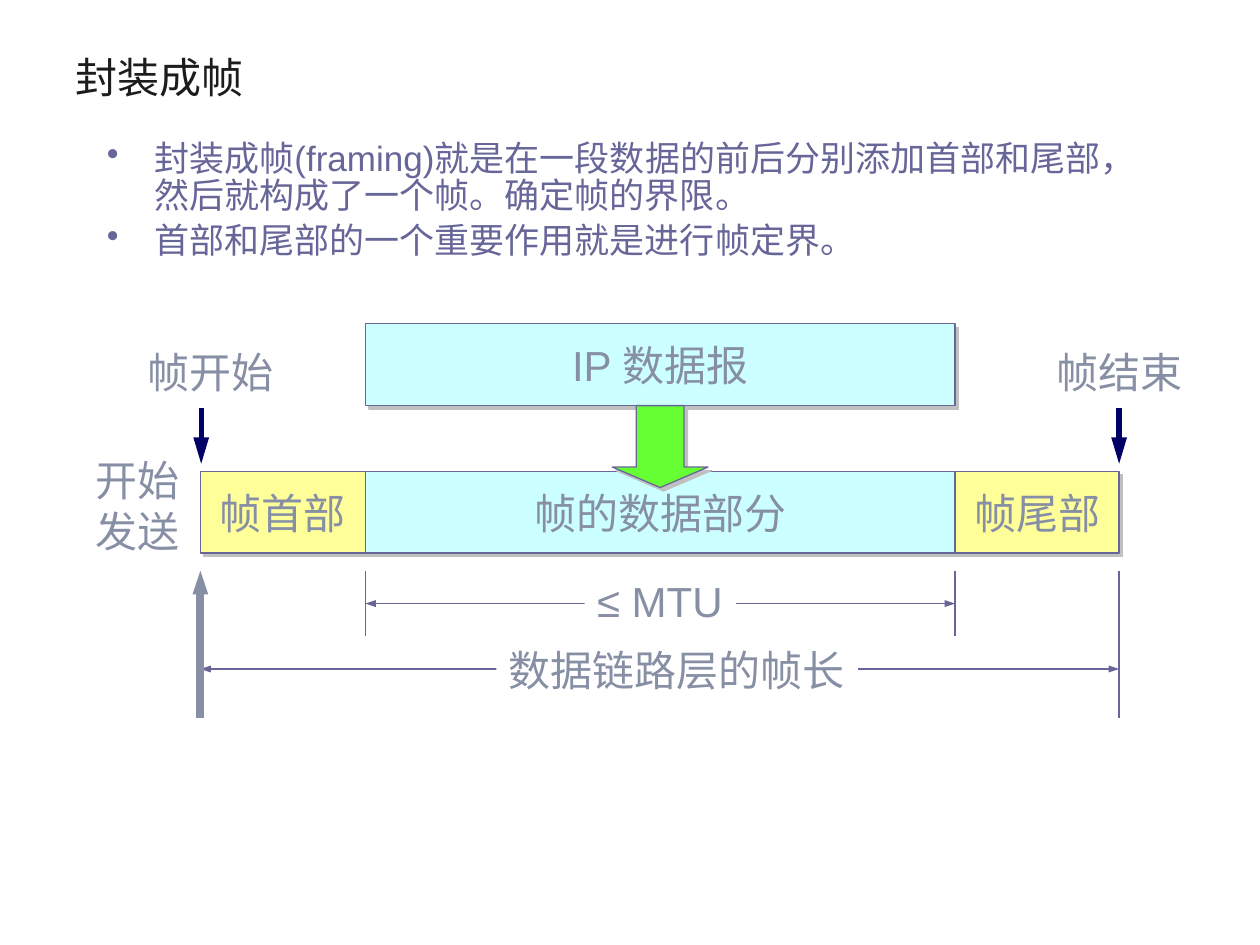
from lxml import etree
from pptx import Presentation
from pptx.dml.color import RGBColor
from pptx.enum.shapes import MSO_CONNECTOR, MSO_SHAPE
from pptx.enum.text import MSO_ANCHOR, PP_ALIGN
from pptx.oxml.ns import qn
from pptx.util import Pt

RECT, DOWN = MSO_SHAPE.RECTANGLE, MSO_SHAPE.DOWN_ARROW
LINE = MSO_CONNECTOR.STRAIGHT
TOP, MIDDLE = MSO_ANCHOR.TOP, MSO_ANCHOR.MIDDLE
LEFT, CENTER = PP_ALIGN.LEFT, PP_ALIGN.CENTER

INK = RGBColor(0x1C, 0x1C, 0x1C)
PURPLE = RGBColor(0x66, 0x66, 0x99)
GRAY = RGBColor(0x87, 0x8F, 0xA5)
NAVY = RGBColor(0x00, 0x00, 0x66)
WHITE = RGBColor(0xFF, 0xFF, 0xFF)
YELLOW = RGBColor(0xFF, 0xFF, 0x99)
CYAN = RGBColor(0xCC, 0xFF, 0xFF)
GREEN = RGBColor(0x66, 0xFF, 0x33)
SHADE = RGBColor(0xC0, 0xC0, 0xC0)
LATIN, HAN = "Arial", "Noto Sans CJK SC"

# Edges of the frame: start, data start, data end, end
START, DATA, TAIL, END = 114.5, 208.8, 545.8, 639.5
ROW, HIGH = 269.3, 46.8
MARK = 326.2


def put(item, **values):
    """Set each named attribute of an item."""
    for name, value in values.items():
        setattr(item, name, value)


def node(parent, tag, **values):
    """Add an XML child with attributes."""
    child = etree.SubElement(parent, qn(tag))
    for name, value in values.items():
        child.set(name, str(value))
    return child


def write(frame, lines, color, size=24, font=LATIN, align=LEFT, **form):
    """Write one paragraph for each line."""
    put(frame, **form)
    for i, line in enumerate(lines):
        para = frame.paragraphs[0] if i == 0 else frame.add_paragraph()
        para.alignment = align
        run = para.add_run()
        run.text = line
        put(run.font, name=font, size=Pt(size))
        run.font.color.rgb = color
        node(run.font._element, "a:ea", typeface=HAN)


def text(slide, box, lines, color, **form):
    """Add a wrapped text box."""
    shape = slide.shapes.add_textbox(*map(Pt, box))
    write(shape.text_frame, lines, color, word_wrap=True, **form)
    return shape


def points(shape):
    """Give each paragraph a bullet and a hanging indent."""
    for para in shape.text_frame.paragraphs:
        put(para, line_spacing=0.9, space_before=Pt(4))
        props = para._p.get_or_add_pPr()
        props.set("marL", str(Pt(27)))
        props.set("indent", str(-Pt(27)))
        node(props, "a:buChar", char="•")


def block(slide, kind, box, fill):
    """Add an outlined shape with a hard shadow."""
    shape = slide.shapes.add_shape(kind, *map(Pt, box))
    shape.fill.solid()
    shape.fill.fore_color.rgb = fill
    shape.line.color.rgb = PURPLE
    shape.line.width = Pt(0.75)
    shape.shadow.inherit = False
    effect = shape._element.spPr.find(qn("a:effectLst"))
    cast = node(effect, "a:outerShdw", dist=Pt(2.8), dir=2700000,
                algn="ctr", rotWithShape=0)
    node(cast, "a:srgbClr", val=SHADE)
    return shape


def cell(slide, left, right, top, fill, name):
    """Add a named part of the packet."""
    shape = block(slide, RECT, (left, top, right - left, HIGH), fill)
    write(shape.text_frame, [name], GRAY, align=CENTER,
          vertical_anchor=MIDDLE, word_wrap=False)


def label(slide, box, *lines):
    """Add a white label."""
    shape = slide.shapes.add_shape(RECT, *map(Pt, box))
    shape.fill.solid()
    shape.fill.fore_color.rgb = WHITE
    shape.line.fill.background()
    shape.shadow.inherit = False
    write(shape.text_frame, lines, GRAY,
          vertical_anchor=TOP, word_wrap=False)


def rule(slide, ends, color=PURPLE, width=0.75, tips=(), wide="sm", long="med"):
    """Add a line with optional arrow tips."""
    link = slide.shapes.add_connector(LINE, *map(Pt, ends))
    link.line.color.rgb = color
    link.line.width = Pt(width)
    for tip in tips:
        node(link.line._get_or_add_ln(), tip, type="triangle", w=wide, len=long)
    node(link._element.spPr, "a:effectLst")


def main():
    """Build the slide."""
    deck = Presentation()
    put(deck, slide_width=Pt(720), slide_height=Pt(540))
    slide = deck.slides.add_slide(deck.slide_layouts[6])

    text(slide, (36, 21.6, 648, 44), ["封装成帧"], INK, font=HAN,
         vertical_anchor=MIDDLE)
    points(text(slide, (54, 77, 612, 324), [
        "封装成帧(framing)就是在一段数据的前后分别添加首部和尾部，"
        "然后就构成了一个帧。确定帧的界限。",
        "首部和尾部的一个重要作用就是进行帧定界。"], PURPLE, size=20))

    for left, right, top, fill, name in (
            (START, DATA, ROW, YELLOW, "帧首部"),
            (DATA, TAIL, 185, CYAN, "IP 数据报"),
            (DATA, TAIL, ROW, CYAN, "帧的数据部分"),
            (TAIL, END, ROW, YELLOW, "帧尾部")):
        cell(slide, left, right, top, fill, name)

    both = ("a:headEnd", "a:tailEnd")
    for left, right, y in ((DATA, TAIL, 344.9), (START, END, 382.3)):
        rule(slide, (left, y, right, y), tips=both)
    for x, low in ((DATA, 363.6), (TAIL, 363.6), (END, 410.4)):
        rule(slide, (x, MARK, x, low))
    rule(slide, (START, MARK, START, 410.4), GRAY, 4.5, both[:1])

    label(slide, (334.1, 325.4, 86.4, 36), "≤ MTU")
    label(slide, (283.7, 365, 206.6, 36), "数据链路层的帧长")
    block(slide, DOWN, (349.9, 231.8, 54.7, 46.8), GREEN).adjustments[1] = 0.25
    label(slide, (47.5, 256.3, 62.6, 64.8), "开始", "发送")
    for x, left, name in ((START + 0.5, 77, "帧开始"), (END, 596.9, "帧结束")):
        label(slide, (left, 194.4, 86.4, 36), name)
        rule(slide, (x, 265, x, 233.3), NAVY, 3, both[:1], "med", "lg")

    deck.save("out.pptx")


main()
